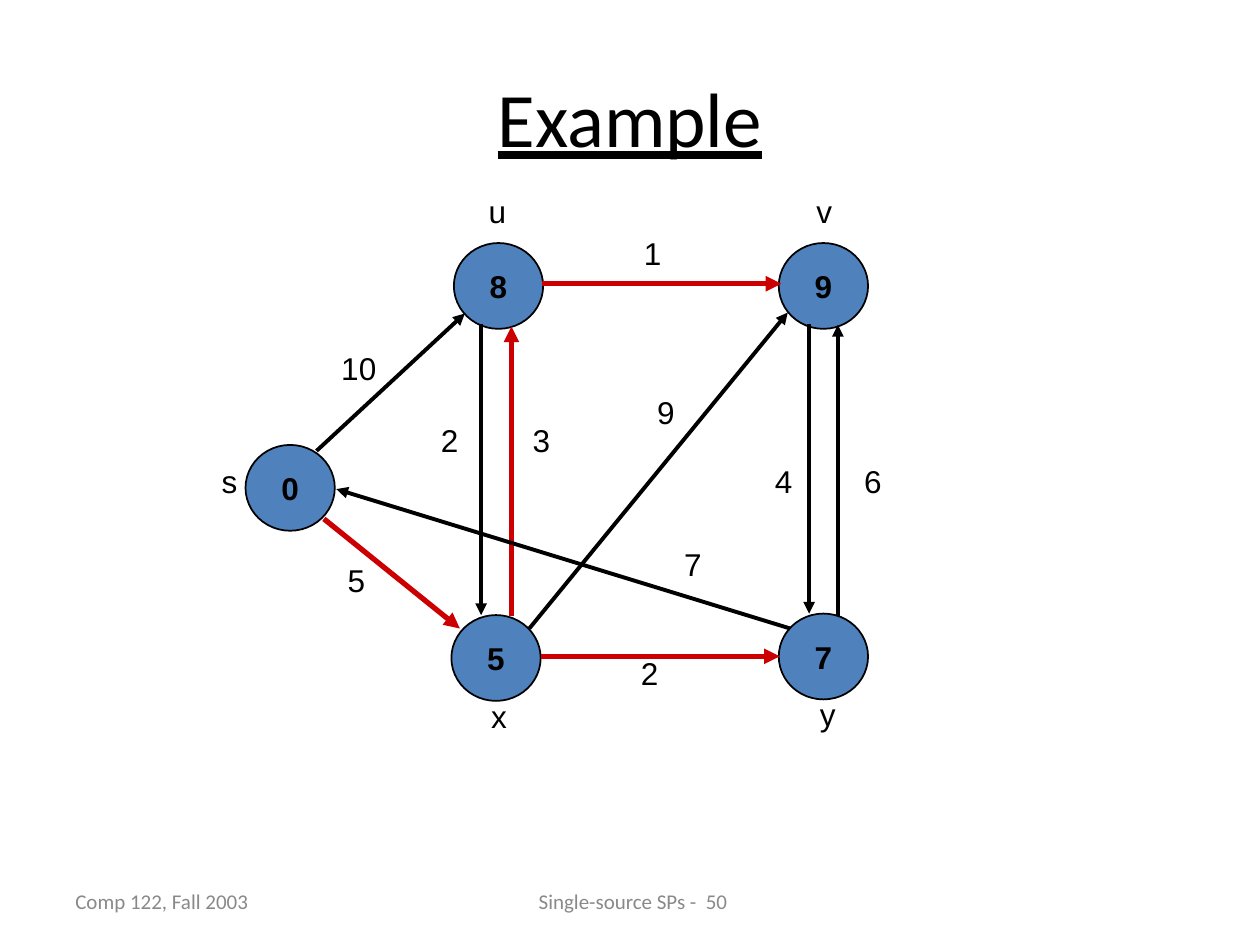
from lxml import etree
from pptx import Presentation
from pptx import util as u
from pptx.dml.color import RGBColor
from pptx.enum import shapes, text
from pptx.oxml.ns import qn

BLACK = RGBColor(0x00, 0x00, 0x00)
RED = RGBColor(0xCC, 0x00, 0x00)
BLUE = RGBColor(0x4F, 0x81, 0xBD)
GREY = RGBColor(0x89, 0x89, 0x89)

NODE_WIDTH, NODE_HEIGHT = 1.8, 1.73
LABEL_HEIGHT = 1.02

NODES = [
    ("0", 0.75, 5.22),
    ("7", 11.5, 8.62),
    ("5", 4.9, 8.65),
    ("9", 11.5, 1.15),
    ("8", 4.95, 1.15),
]
EDGES = [
    (2.18, 5.34, 5.17, 2.57, False),
    (2.33, 6.71, 5.07, 8.92, True),
    (5.5, 2.78, 5.5, 8.65, False),
    (6.11, 8.67, 6.11, 2.83, True),
    (12.11, 2.78, 12.11, 8.62, False),
    (12.69, 8.67, 12.69, 2.8, False),
    (6.7, 9.48, 11.52, 9.48, True),
    (6.72, 1.97, 11.55, 1.97, True),
    (6.47, 8.92, 11.68, 2.55, False),
    (11.73, 8.92, 2.58, 6.11, False),
]
LABELS = [
    ("s", 0.02, 5.44),
    ("u", 5.4, 0),
    ("v", 12.01, 0),
    ("x", 5.45, 10.17),
    ("y", 12.08, 10.14),
    ("10", 2.43, 3.16),
    ("1", 8.53, 0.85),
    ("9", 8.8, 4.05),
    ("2", 8.47, 9.31),
    ("4", 11.17, 5.44),
    ("6", 12.97, 5.44),
    ("5", 2.56, 7.43),
    ("2", 4.44, 4.61),
    ("3", 6.29, 4.61),
    ("7", 9.34, 7.12),
]


def write_text(shape, words, name, size, color, align, anchor, bold=False, wrap=False):
    """Put one formatted paragraph in a shape."""
    frame = shape.text_frame
    frame.word_wrap = wrap
    frame.vertical_anchor = anchor
    paragraph = frame.paragraphs[0]
    paragraph.text = words
    paragraph.alignment = align
    paragraph.font.name = name
    paragraph.font.size = u.Pt(size)
    paragraph.font.bold = bold
    paragraph.font.color.rgb = color
    return paragraph


def place_title(slide, left, top, width, height):
    """Move the title placeholder and underline its heading."""
    title = slide.shapes.title
    title.left, title.top, title.width, title.height = map(u.Cm, (left, top, width, height))
    paragraph = write_text(title, "Example", "Calibri", 44, BLACK,
                           text.PP_ALIGN.CENTER, text.MSO_ANCHOR.MIDDLE, wrap=True)
    paragraph.font.underline = True


def add_node(slide, left, top, distance):
    """Add a vertex circle showing its distance."""
    node = slide.shapes.add_shape(shapes.MSO_SHAPE.OVAL, u.Cm(left), u.Cm(top),
                                  u.Cm(NODE_WIDTH), u.Cm(NODE_HEIGHT))
    node.shadow.inherit = False
    node.fill.solid()
    node.fill.fore_color.rgb = BLUE
    node.line.color.rgb = BLACK
    node.line.width = u.Pt(1)
    write_text(node, distance, "Arial", 18, BLACK,
               text.PP_ALIGN.CENTER, text.MSO_ANCHOR.MIDDLE, bold=True)


def add_edge(slide, start_x, start_y, end_x, end_y, on_tree):
    """Add an arrow, red and thicker when it is on the shortest-path tree."""
    edge = slide.shapes.add_connector(shapes.MSO_CONNECTOR.STRAIGHT,
                                      *map(u.Cm, (start_x, start_y, end_x, end_y)))
    edge.line.color.rgb = RED if on_tree else BLACK
    edge.line.width = u.Pt(3 if on_tree else 2.25)
    etree.SubElement(edge.line._get_or_add_ln(), qn("a:tailEnd"), type="triangle")
    etree.SubElement(edge._element.spPr, qn("a:effectLst"))


def add_label(slide, left, top, words):
    """Add a vertex name or an edge weight."""
    width = 0.51 + 0.35 * len(words)
    label = slide.shapes.add_textbox(u.Cm(left), u.Cm(top), u.Cm(width), u.Cm(LABEL_HEIGHT))
    write_text(label, words, "Arial", 18, BLACK, text.PP_ALIGN.LEFT, text.MSO_ANCHOR.TOP)


def place_graph(slide, left, top):
    """Draw the weighted graph from its top left corner."""
    for distance, x, y in NODES:
        add_node(slide, left + x, top + y, distance)
    for start_x, start_y, end_x, end_y, on_tree in EDGES:
        add_edge(slide, left + start_x, top + start_y, left + end_x, top + end_y, on_tree)
    for words, x, y in LABELS:
        add_label(slide, left + x, top + y, words)


def place_footer(slide, left, top, height):
    """Add the course and the lecture page along the bottom."""
    for words, offset, width, align in [
        ("Comp 122, Fall 2003", 0, 5.92, text.PP_ALIGN.LEFT),
        (" Single-source SPs -  50", 7.42, 8.05, text.PP_ALIGN.CENTER),
    ]:
        box = slide.shapes.add_textbox(u.Cm(left + offset), u.Cm(top), u.Cm(width), u.Cm(height))
        write_text(box, words, "Calibri", 12, GREY, align, text.MSO_ANCHOR.MIDDLE, wrap=True)


def main():
    """Build and save the slide."""
    presentation = Presentation()
    presentation.slide_width = u.Cm(25.4)
    presentation.slide_height = u.Cm(19.05)
    slide = presentation.slides.add_slide(presentation.slide_layouts[5])
    place_footer(slide, 1.27, 17.65, 1.02)
    place_title(slide, 1.27, 0.76, 22.86, 3.18)
    place_graph(slide, 4.2, 3.75)
    presentation.save("out.pptx")


if __name__ == "__main__":
    main()
